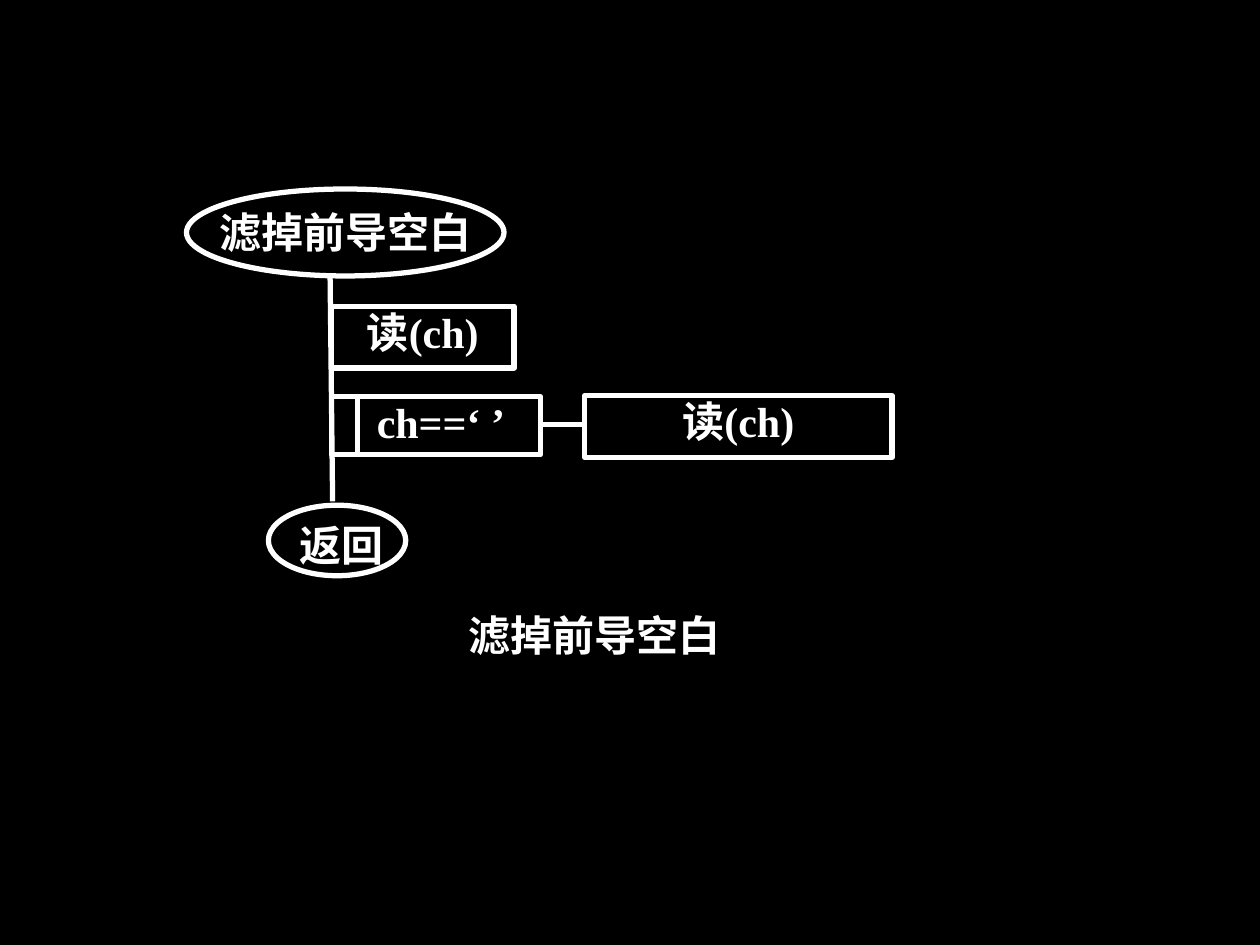
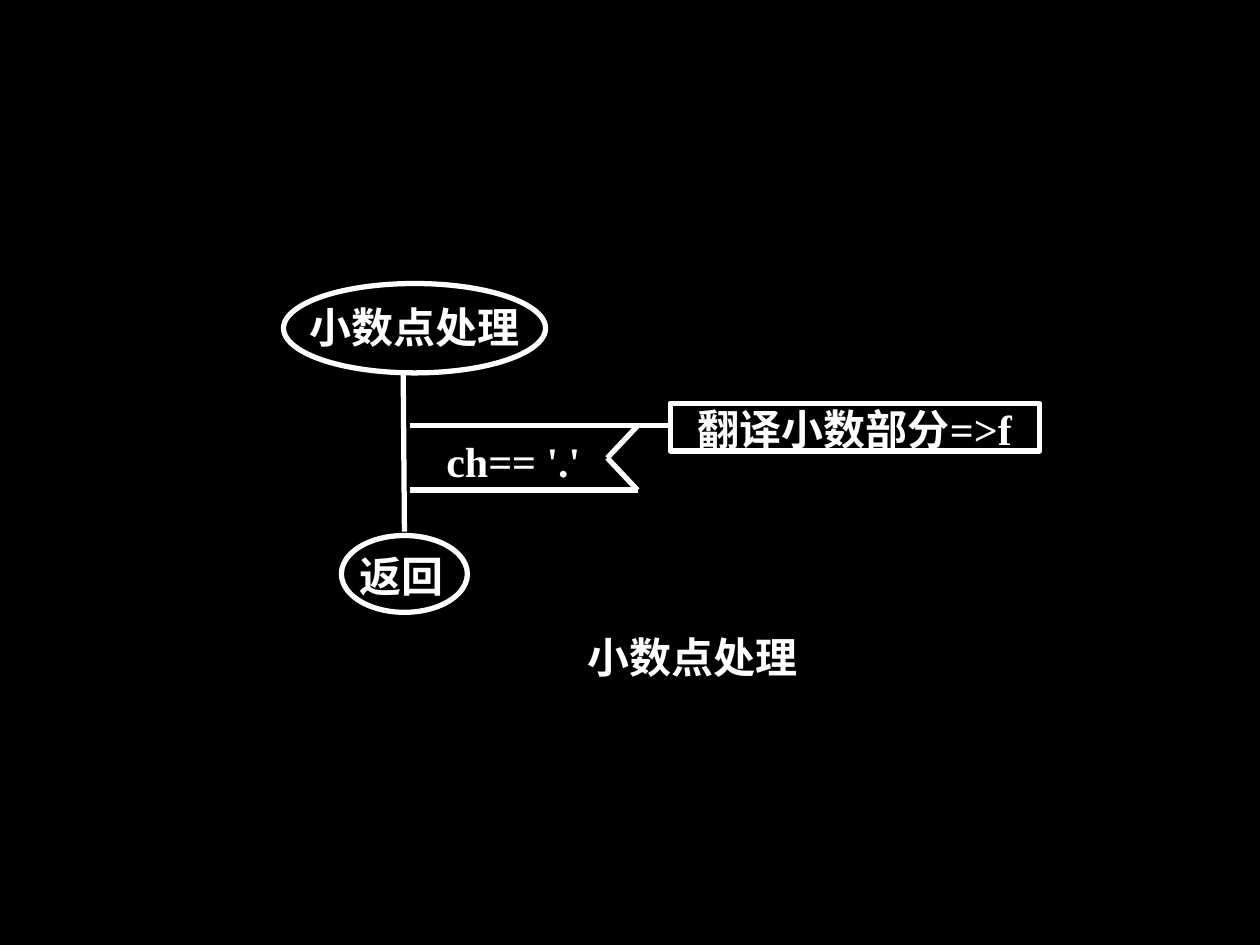
from dataclasses import dataclass

from lxml import etree
from pptx import Presentation
from pptx import util as u
from pptx.dml.color import RGBColor
from pptx.enum import shapes, text
from pptx.oxml.ns import qn


@dataclass(frozen=True)
class Theme:
    ground = RGBColor(0, 0, 0)
    ink = RGBColor(255, 255, 255)
    latin = "Times New Roman"
    chinese = "Noto Sans CJK SC"
    size = u.Pt(24)
    stroke = u.Pt(3)


THEME = Theme()
CELL = u.Inches(0.1)  # the slide is a grid of 100 columns by 75 rows
COLUMNS, ROWS = 100, 75
LEFT, CENTER = text.PP_ALIGN.JUSTIFY, text.PP_ALIGN.CENTER
OVAL = shapes.MSO_SHAPE.OVAL
RECTANGLE = shapes.MSO_SHAPE.RECTANGLE


def cells(*values):
    return [round(value * CELL) for value in values]


@dataclass
class Region:
    """A part of a page; lengths are grid cells counted from its top left corner."""
    page: object
    column: float
    row: float

    def within(self, column, row):
        return Region(self.page, self.column + column, self.row + row)

    def place(self, column, row, width, height):
        return cells(self.column + column, self.row + row, width, height)

    def line(self, x1, y1, x2, y2):
        ends = cells(self.column + x1, self.row + y1, self.column + x2, self.row + y2)
        line = self.page.shapes.add_connector(shapes.MSO_CONNECTOR.STRAIGHT, *ends)
        line.line.color.rgb = THEME.ink
        line.line.width = THEME.stroke
        etree.SubElement(line._element.spPr, qn("a:effectLst"))

    def outline(self, kind, box):
        shape = self.page.shapes.add_shape(kind, *self.place(*box))
        shape.shadow.inherit = False
        shape.fill.background()
        shape.line.color.rgb = THEME.ink
        shape.line.width = THEME.stroke
        return shape

    def label(self, words, box, align=CENTER, font=THEME.latin):
        shape = self.page.shapes.add_textbox(*self.place(*box))
        write(shape, words, align, font)

    def process(self, words, box, indent=0):
        write(self.outline(RECTANGLE, box), words, indent=indent)

    def terminal(self, words, oval, words_box, align):
        self.label(words, words_box, align)
        self.outline(OVAL, oval)


def write(shape, words, align=CENTER, font=THEME.latin, indent=0):
    frame = shape.text_frame
    frame.word_wrap = True
    frame.vertical_anchor = text.MSO_ANCHOR.TOP
    frame.margin_left = round(indent * CELL)
    frame.margin_right = frame.margin_top = frame.margin_bottom = 0
    frame.text = words
    para = frame.paragraphs[0]
    para.alignment = align
    for span in para.runs:
        span.font.name = font
        span.font.size = THEME.size
        span.font.bold = True
        span.font.color.rgb = THEME.ink
        east_asian = etree.SubElement(span._r.get_or_add_rPr(), qn("a:ea"))
        east_asian.set("typeface", THEME.chinese)


def loop(region, condition, body):
    """A barred condition box, joined to the step that it repeats."""
    width, height, middle, bar = 16.6, 4.6, 2.2, 2.1
    body_left = width + 3.5
    region.process(body, (body_left, -0.1, 24.4, 4.9))
    region.process(condition, (0, 0, width, height), indent=0.8)
    region.line(bar, 0, bar, height)
    region.line(width, middle, body_left, middle)


def branch(region, condition, body):
    """A notched condition, whose upper edge runs on to its step."""
    edge, height, notch, body_left = 18.1, 5.1, 2.4, 20.7
    for y in (0, height):
        region.line(edge, y, edge - notch, height / 2)
    region.line(0, 0, body_left, 0)
    region.line(0, height, edge, height)
    region.label(condition, (1.6, 0.8, 13.3, 4))
    region.process(body, (body_left, -1.8, 29.3, 3.8))


def skip_blanks_page(page):
    title = "滤掉前导空白"
    chart = Region(page, 14.8, 15)
    chart.line(11.4, 6.9, 11.6, 24.8)
    chart.terminal("返回", (6.5, 25.1, 10.9, 5.6), (9, 26.2, 11.8, 4.4), LEFT)
    chart.terminal(title, (0, 0, 25.2, 6.9), (2.6, 1.4, 24.5, 5.6), LEFT)
    chart.process("读(ch)", (11.5, 9.3, 14.5, 4.9))
    loop(chart.within(11.5, 16.5), "ch==‘ ’", "读(ch)")
    chart.label(title, (-2.3, 33.4, 69.4, 9.4), font=THEME.chinese)


def decimal_point_page(page):
    title = "小数点处理"
    chart = Region(page, 22.5, 22.5)
    branch(chart.within(10, 11.3), "ch== '.'", "翻译小数部分=>f")
    chart.line(9.5, 7.2, 9.6, 19.7)
    chart.label(title, (14.8, 27.6, 35.3, 4.9))
    chart.terminal(title, (0, 0, 20.8, 7.1), (-0.8, 1.4, 22.4, 5.7), CENTER)
    chart.terminal("返回", (4.6, 20, 10, 6.1), (4, 21.2, 10.8, 4.9), CENTER)


def main():
    deck = Presentation()
    deck.slide_width, deck.slide_height = cells(COLUMNS, ROWS)
    for build in (skip_blanks_page, decimal_point_page):
        page = deck.slides.add_slide(deck.slide_layouts[6])
        page.background.fill.solid()
        page.background.fill.fore_color.rgb = THEME.ground
        build(page)
    deck.save("out.pptx")


if __name__ == "__main__":
    main()
